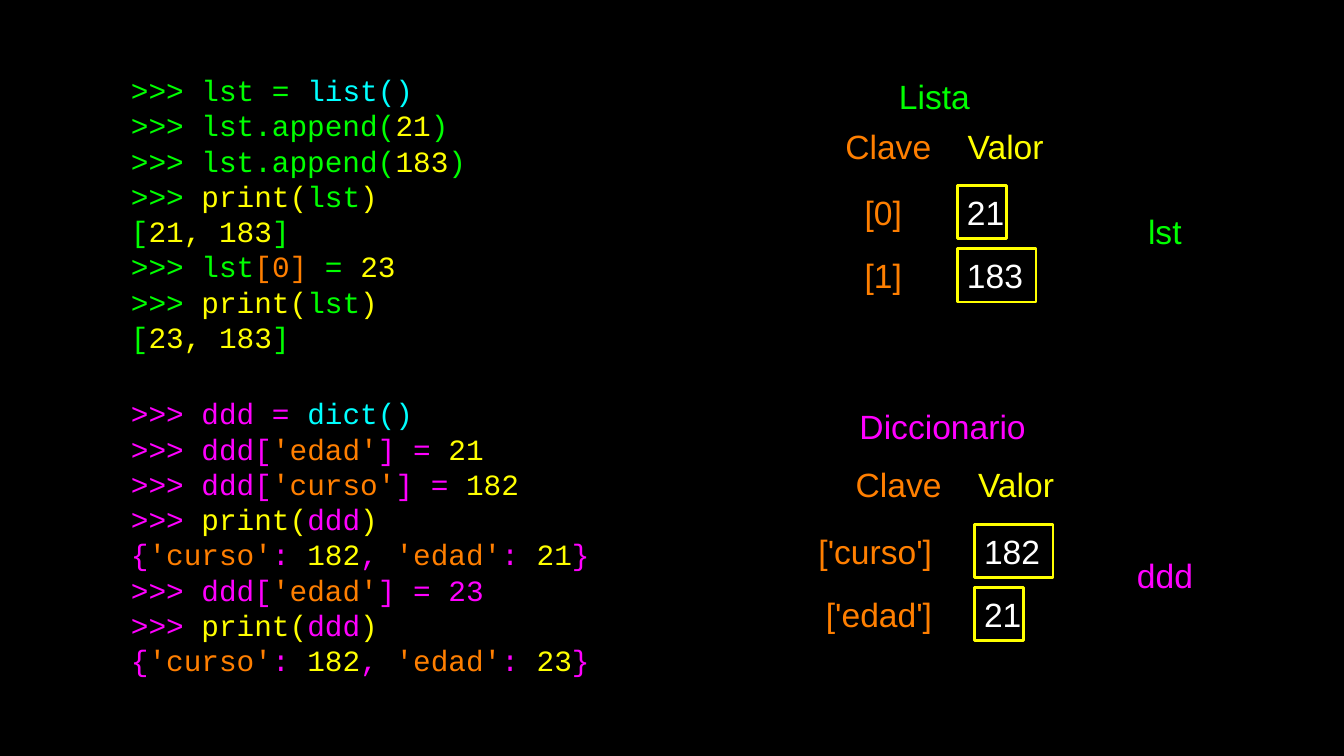
from pptx import Presentation
from pptx.dml.color import RGBColor as RGB
from pptx.enum.shapes import MSO_SHAPE as SHAPE
from pptx.enum.text import MSO_ANCHOR as ANCHOR, PP_ALIGN as ALIGN
from pptx.util import Cm, Pt

THEME = {
    "back": RGB(0, 0, 0), "text": RGB(255, 255, 255),
    "list": RGB(0, 255, 0), "dict": RGB(255, 0, 255),
    "call": RGB(0, 255, 255), "key": RGB(255, 127, 0), "value": RGB(255, 255, 0),
    "code_font": "Courier New", "code_size": Pt(21),
    "label_font": "Arial", "label_size": Pt(24), "border": Pt(2),
}

# Code lines: plain strings take the section colour, pairs name their own
PROMPT = ">>> "


def print_line(name):
    return [PROMPT, ("print(", "value"), name, (")", "value")]


def append_line(value):
    return [PROMPT + "lst.append(", (value, "value"), ")"]


def list_line(values):
    return ["[", (values, "value"), "]"]


def assign_line(key, *rest):
    return [PROMPT + "ddd[", (key, "key"), *rest]


def dict_line(age):
    return ["{", ("'curso'", "key"), ": ", ("182", "value"), ", ",
            ("'edad'", "key"), ": ", (age, "value"), "}"]


LIST_CODE = [
    [PROMPT + "lst = ", ("list()", "call")],
    append_line("21"),
    append_line("183"),
    print_line("lst"),
    list_line("21, 183"),
    [PROMPT + "lst", ("[0]", "key"), " = ", ("23", "value")],
    print_line("lst"),
    list_line("23, 183"),
]
DICT_CODE = [
    [PROMPT + "ddd = ", ("dict()", "call")],
    assign_line("'edad'", "] = ", ("21", "value")),
    assign_line("'curso'", "] = ", ("182", "value")),
    print_line("ddd"),
    dict_line("21"),
    assign_line("'edad'", "] = 23"),
    print_line("ddd"),
    dict_line("23"),
]

# Places in cm; rows are (key, key width, value)
SECTIONS = [
    {"color": "list", "code": LIST_CODE, "code_box": (3.3, 1.63, 11.86, 7.49),
     "title": "Lista", "title_box": (22.56, 1.6, 1.98, 1.63),
     "name": "lst", "name_box": (28.68, 5.0, 1.35, 1.63),
     "head_at": (21.23, 3.02), "key_right": 22.73, "cell_at": (24.13, 4.67),
     "rows": [("[0]", 1.35, "21"), ("[1]", 1.35, "183")]},
    {"color": "dict", "code": DICT_CODE, "code_box": (3.3, 9.42, 12.95, 8.2),
     "title": "Diccionario", "title_box": (21.01, 9.91, 5.49, 1.63),
     "name": "ddd", "name_box": (28.32, 13.67, 2.08, 1.63),
     "head_at": (21.49, 11.56), "key_right": 23.49, "cell_at": (24.56, 13.21),
     "rows": [("['curso']", 3.86, "182"), ("['edad']", 3.15, "21")]},
]
HEADS = [("Clave", "key"), ("Valor", "value")]
HEAD_WIDTH, HEAD_PITCH = 2.31, 2.96
LABEL_HEIGHT, CELL_HEIGHT, ROW_PITCH = 1.3, 1.35, 1.59
DIGIT_WIDTH, CELL_PAD = 0.74, 0.24

prs = Presentation()
prs.slide_width, prs.slide_height = Cm(33.87), Cm(19.05)
slide = prs.slides.add_slide(prs.slide_layouts[6])
slide.background.fill.solid()
slide.background.fill.fore_color.rgb = THEME["back"]


def setup_frame(s, pad=0):
    tf = s.text_frame
    tf.word_wrap = True
    tf.vertical_anchor = ANCHOR.MIDDLE
    tf.margin_left = Cm(pad)
    tf.margin_right = tf.margin_top = tf.margin_bottom = 0
    return tf


def style(r, kind, color):
    r.font.name = THEME[kind + "_font"]
    r.font.size = THEME[kind + "_size"]
    r.font.color.rgb = THEME[color]


def add_label(s, text, color, align, pad=0):
    tf = setup_frame(s, pad)
    tf.text = text
    p = tf.paragraphs[0]
    p.alignment = align
    style(p.runs[0], "label", color)


def add_box(box):
    return slide.shapes.add_textbox(*map(Cm, box))


def add_code(box, lines, color):
    tf = setup_frame(add_box(box))
    for i, line in enumerate(lines):
        p = tf.add_paragraph() if i else tf.paragraphs[0]
        for part in line:
            text, tint = (part, color) if isinstance(part, str) else part
            r = p.add_run()
            r.text = text
            style(r, "code", tint)


def add_cell(left, top, value):
    width = len(value) * DIGIT_WIDTH - CELL_PAD
    s = slide.shapes.add_shape(SHAPE.RECTANGLE, *map(Cm, (left, top, width, CELL_HEIGHT)))
    s.shadow.inherit = False
    s.fill.background()
    s.line.color.rgb = THEME["value"]
    s.line.width = THEME["border"]
    add_label(s, value, "text", ALIGN.LEFT, CELL_PAD)


for sec in SECTIONS:
    # Code on the left
    add_code(sec["code_box"], sec["code"], sec["color"])

    # Keys and boxed values
    left, top = sec["cell_at"]
    for i, (key, width, value) in enumerate(sec["rows"]):
        y = top + i * ROW_PITCH
        key_box = (sec["key_right"] - width, y + 0.03, width, LABEL_HEIGHT)
        add_label(add_box(key_box), key, "key", ALIGN.RIGHT)
        add_cell(left, y, value)

    # Column heads
    left, top = sec["head_at"]
    for i, (text, color) in enumerate(HEADS):
        head_box = (left + i * HEAD_PITCH, top, HEAD_WIDTH, LABEL_HEIGHT)
        add_label(add_box(head_box), text, color, ALIGN.CENTER)

    # Title and variable name
    for part in ("name", "title"):
        add_label(add_box(sec[part + "_box"]), sec[part], sec["color"], ALIGN.CENTER)

prs.save("out.pptx")
